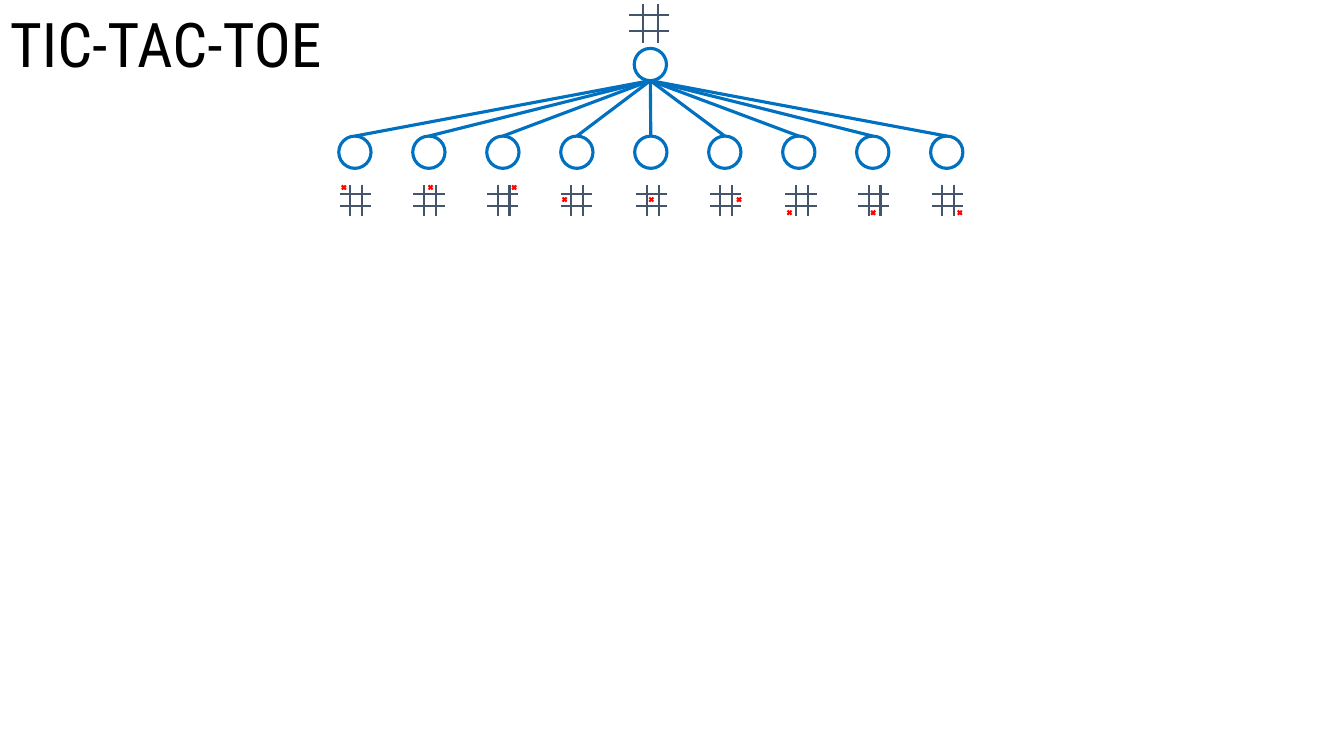
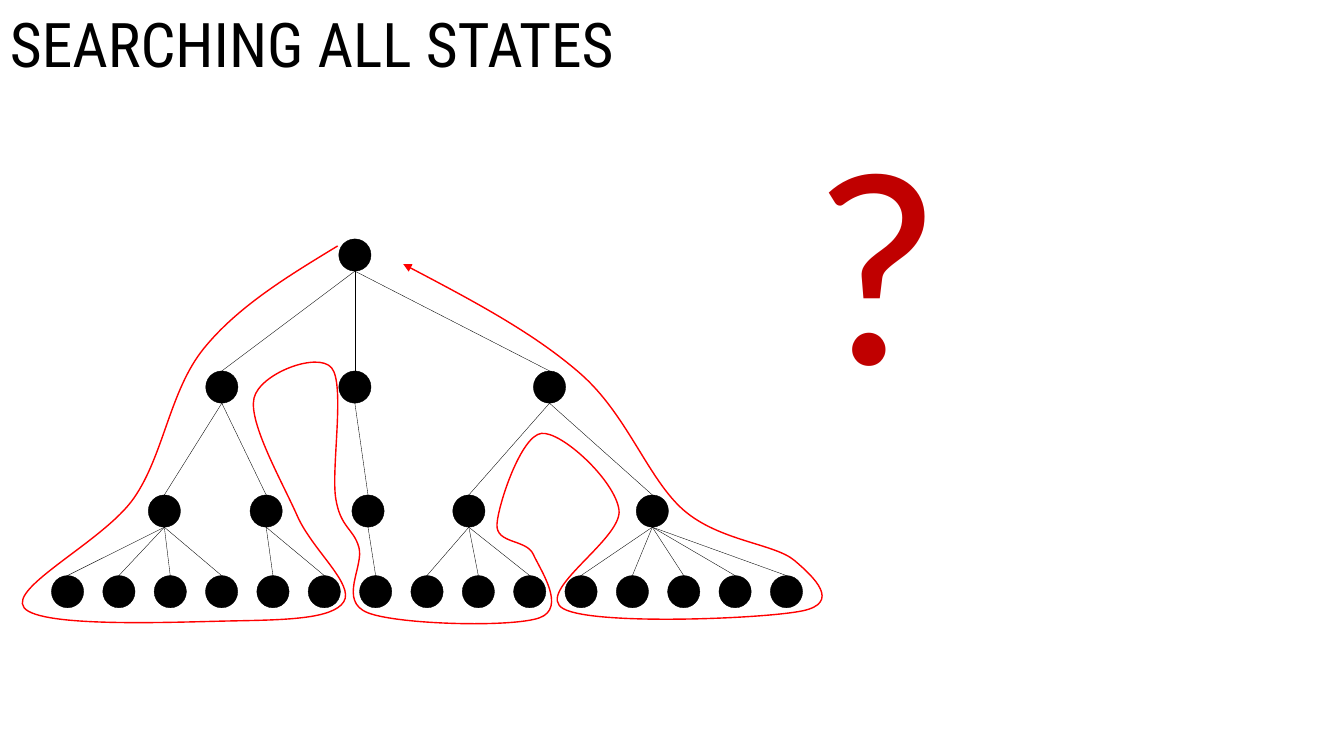
from dataclasses import dataclass
from typing import NamedTuple

from lxml import etree
from pptx import Presentation
from pptx import util as u
from pptx.dml.color import RGBColor
from pptx.enum import shapes, text
from pptx.oxml import ns

BLACK, WHITE, RED = "000000", "FFFFFF", "FF0000"
BLUE, SLATE, DARK_RED = "0070C0", "44546A", "C00000"
TITLE_FONT, SYMBOL_FONT = "Roboto Condensed", "Calibri"
NODE_SIZE = 0.32
MARK_SIZE = 0.04


class Point(NamedTuple):
    x: float
    y: float


class Move(NamedTuple):
    board_left: float
    mark_offset: float


@dataclass(frozen=True)
class Pen:
    color: str
    width: float


@dataclass(frozen=True)
class NodeStyle:
    fill: str
    pen: Pen


@dataclass(frozen=True)
class Level:
    top: float
    centers: list[float]
    child_counts: tuple[int, ...] = ()


GRID_PEN = Pen(SLATE, 1.5)
MARK_PEN = Pen(RED, 1.5)
GAME_NODE = NodeStyle(WHITE, Pen(BLUE, 2.25))
STATE_NODE = NodeStyle(BLACK, Pen(BLACK, 0.25))

MOVES = [
    Move(3.37, 0.02), Move(4.1, 0.15), Move(4.83, 0.25),
    Move(5.56, 0.02), Move(6.31, 0.13), Move(7.04, 0.27),
    Move(7.79, 0.02), Move(8.51, 0.13), Move(9.24, 0.26),
]
MARK_ROWS = (0, 0.12, 0.25)

SEARCH_ROUTE = [
    Point(3.35, 2.44), Point(2.02, 3.46), Point(1.33, 4.94), Point(0.24, 6.03),
    Point(2.3, 6.16), Point(3.41, 5.97), Point(2.95, 5.12), Point(2.52, 3.95),
    Point(3.29, 3.65), Point(3.33, 4.94), Point(3.56, 5.43), Point(3.65, 6.08),
    Point(5.35, 6.13), Point(5.29, 5.5), Point(4.93, 5.2), Point(5.37, 4.3),
    Point(6.14, 5.06), Point(5.59, 6.04), Point(7.96, 6.06), Point(7.88, 5.56),
    Point(6.78, 5.06), Point(5.76, 3.71), Point(4, 2.62),
]
ROUTE_START, ROUTE_END = Point(0.23, 2.44), Point(8.16, 6.18)


def rgb(color: str) -> RGBColor:
    return RGBColor.from_string(color)


def spread(first: float, last: float, count: int) -> list[float]:
    return [first + (last - first) * i / (count - 1) for i in range(count)]


def set_pen(line, pen: Pen) -> None:
    line.color.rgb = rgb(pen.color)
    line.width = u.Pt(pen.width)


def draw_line(canvas, start: Point, end: Point, pen: Pen) -> None:
    stroke = canvas.add_connector(
        shapes.MSO_CONNECTOR.STRAIGHT, *(u.Inches(v) for v in (*start, *end)))
    set_pen(stroke.line, pen)
    etree.SubElement(stroke.element.spPr, ns.qn("a:effectLst"))


def draw_node(canvas, center_x: float, top: float, style: NodeStyle) -> None:
    node = canvas.add_shape(
        shapes.MSO_SHAPE.OVAL, u.Inches(center_x - NODE_SIZE / 2), u.Inches(top),
        u.Inches(NODE_SIZE), u.Inches(NODE_SIZE))
    node.shadow.inherit = False
    node.fill.solid()
    node.fill.fore_color.rgb = rgb(style.fill)
    set_pen(node.line, style.pen)


def draw_tree(canvas, levels: list[Level], style: NodeStyle) -> None:
    for level in levels:
        for center in level.centers:
            draw_node(canvas, center, level.top, style)
    for upper, lower in zip(levels, levels[1:]):
        children = iter(lower.centers)
        for parent, count in zip(upper.centers, upper.child_counts):
            for _ in range(count):
                draw_line(canvas, Point(parent, upper.top + NODE_SIZE),
                          Point(next(children), lower.top), style.pen)


def draw_board(slide, left: float, top: float, width: float, height: float):
    board = slide.shapes.add_group_shape().shapes
    for share in (0.34, 0.72):
        x = left + share * width
        draw_line(board, Point(x, top), Point(x, top + height), GRID_PEN)
    for share in (0.29, 0.69):
        y = top + share * height
        draw_line(board, Point(left + width, y), Point(left, y), GRID_PEN)
    return board


def draw_mark(board, left: float, top: float) -> None:
    right, bottom = left + MARK_SIZE, top + MARK_SIZE
    draw_line(board, Point(left, top), Point(right, bottom), MARK_PEN)
    draw_line(board, Point(right, top), Point(left, bottom), MARK_PEN)


def add_text(slide, words: str, box: tuple[float, ...], size: float,
             font: str, color: str):
    frame = slide.shapes.add_textbox(*(u.Inches(v) for v in box)).text_frame
    frame.text = words
    letters = frame.paragraphs[0].runs[0].font
    letters.size = u.Pt(size)
    letters.name = font
    letters.color.rgb = rgb(color)
    return frame


def add_titled_slide(deck, title: str):
    slide = deck.slides.add_slide(deck.slide_layouts[6])
    frame = add_text(slide, title, (0, 0, 11.5, 0.94), 44, TITLE_FONT, BLACK)
    frame.word_wrap = True
    frame.vertical_anchor = text.MSO_ANCHOR.MIDDLE
    frame.paragraphs[0].line_spacing = 0.9
    return slide


def midpoint(a: Point, b: Point) -> Point:
    return Point((a.x + b.x) / 2, (a.y + b.y) / 2)


def smooth_segments(stops: list[Point]) -> list[tuple[Point, Point, Point]]:
    handles = [Point((after.x - before.x) / 6, (after.y - before.y) / 6)
               for before, after in zip(stops, stops[2:])]
    leaving = [Point(p.x + h.x, p.y + h.y) for p, h in zip(stops[1:], handles)]
    arriving = [Point(p.x - h.x, p.y - h.y) for p, h in zip(stops[1:], handles)]
    leaving.insert(0, midpoint(stops[0], arriving[0]))
    arriving.append(midpoint(stops[-1], leaving[-1]))
    return list(zip(leaving, arriving, stops[1:]))


def draw_route(slide, stops: list[Point], pen: Pen) -> None:
    corner = [u.Inches(v) for v in ROUTE_START]
    builder = slide.shapes.build_freeform(*corner)
    builder.add_line_segments([tuple(u.Inches(v) for v in ROUTE_END)], close=False)
    route = builder.convert_to_shape()
    route.shadow.inherit = False
    route.fill.background()
    set_pen(route.line, pen)

    outline = route.element.find(".//" + ns.qn("a:path"))
    for step in list(outline):
        outline.remove(step)
    steps = [("a:moveTo", stops[:1])]
    steps += [("a:cubicBezTo", points) for points in smooth_segments(stops)]
    for tag, points in steps:
        step = etree.SubElement(outline, ns.qn(tag))
        for point in points:
            etree.SubElement(step, ns.qn("a:pt"),
                             x=str(u.Inches(point.x) - corner[0]),
                             y=str(u.Inches(point.y) - corner[1]))
    stroke = route.element.spPr.find(ns.qn("a:ln"))
    etree.SubElement(stroke, ns.qn("a:tailEnd"), type="triangle")


def build_game_slide(deck) -> None:
    slide = add_titled_slide(deck, "TIC-TAC-TOE")
    draw_board(slide, 6.24, 0.04, 0.4, 0.39)
    boards_top = 1.84
    for index, move in enumerate(MOVES):
        board = draw_board(slide, move.board_left, boards_top, 0.31, 0.3)
        draw_mark(board, move.board_left + move.mark_offset,
                  boards_top + MARK_ROWS[index // 3])
    draw_tree(slide.shapes, [
        Level(0.48, [6.45], (len(MOVES),)),
        Level(1.35, spread(3.52, 9.39, len(MOVES))),
    ], GAME_NODE)


def build_search_slide(deck) -> None:
    slide = add_titled_slide(deck, "SEARCHING ALL STATES")
    draw_tree(slide.shapes.add_group_shape().shapes, [
        Level(2.37, [3.52], (3,)),
        Level(3.68, [2.2, 3.52, 5.45], (2, 1, 2)),
        Level(4.91, [1.63, 2.64, 3.65, 4.65, 6.47], (4, 2, 1, 3, 5)),
        Level(5.71, spread(0.67, 7.8, 15)),
    ], STATE_NODE)
    question = add_text(slide, "?", (7.96, 0.8, 1.5, 3.45), 199, SYMBOL_FONT, DARK_RED)
    question.word_wrap = False
    question.auto_size = text.MSO_AUTO_SIZE.SHAPE_TO_FIT_TEXT
    draw_route(slide, SEARCH_ROUTE, Pen(RED, 1))


def main() -> None:
    deck = Presentation()
    deck.slide_width, deck.slide_height = u.Inches(13.33), u.Inches(7.5)
    build_game_slide(deck)
    build_search_slide(deck)
    deck.save("out.pptx")


if __name__ == "__main__":
    main()
